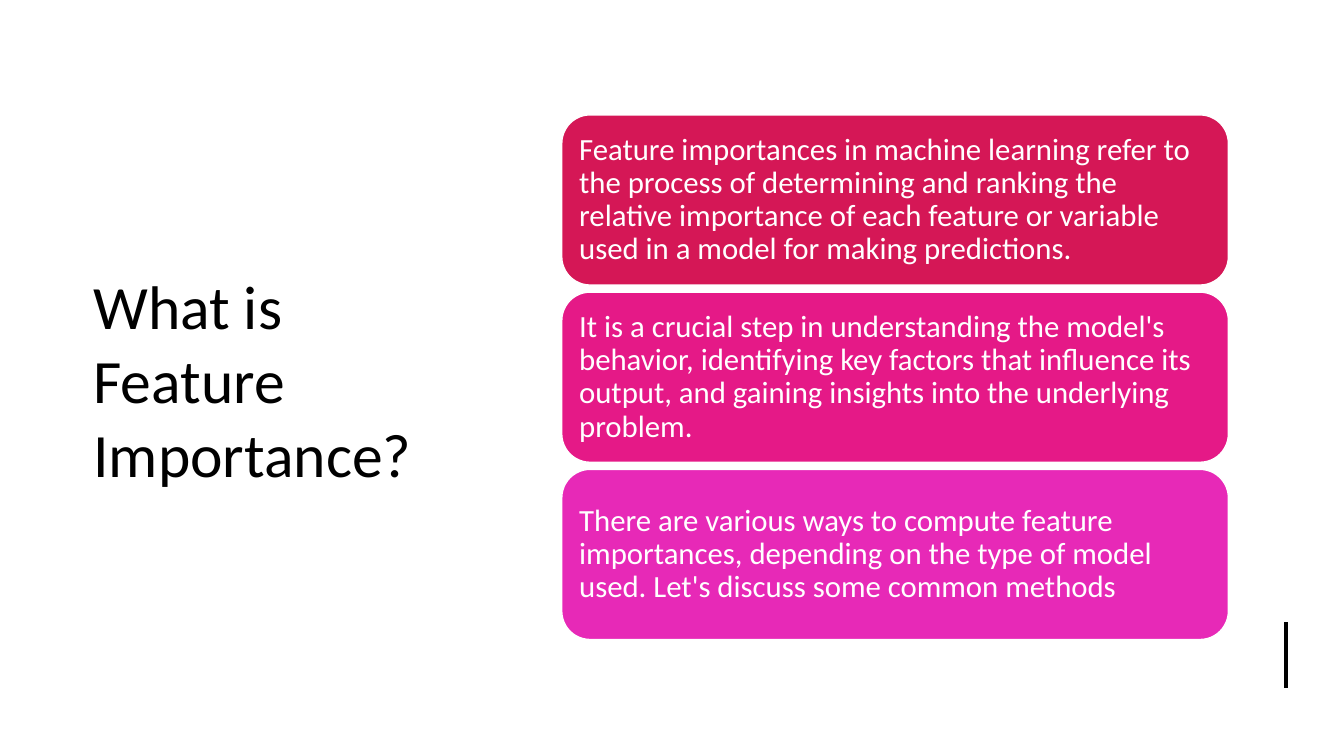
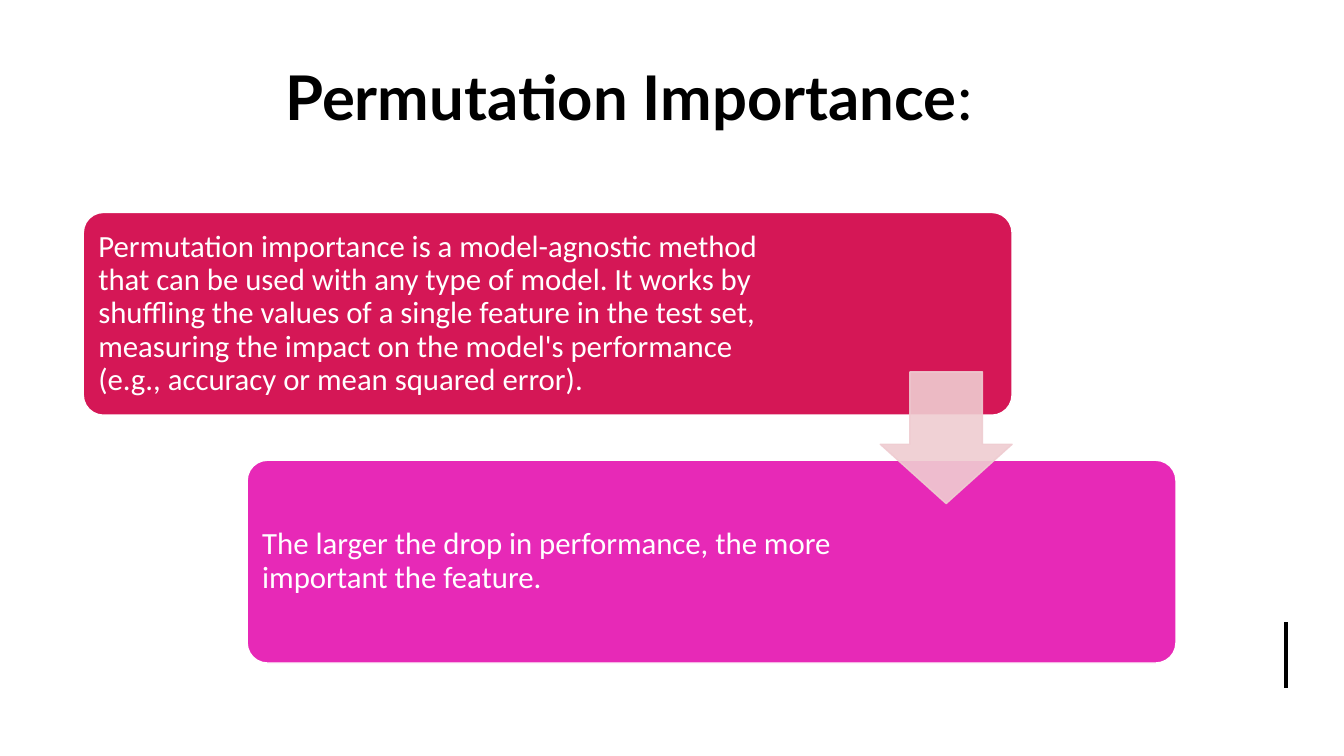
from collections import namedtuple

from lxml.etree import SubElement
from pptx import Presentation
from pptx.dml.color import RGBColor as RGB
from pptx.enum.shapes import MSO_CONNECTOR as LINK, MSO_SHAPE as SHAPE
from pptx.enum.text import MSO_ANCHOR as ANCHOR, MSO_AUTO_SIZE as FIT, PP_ALIGN as ALIGN
from pptx.oxml.ns import qn
from pptx.util import Inches, Pt

WIDE, HIGH = 13.33, 7.5
INK = {"text": "000000", "page": "FFFFFF", "red": "D51756",
       "rose": "E51987", "pink": "E729B7", "arrow": "EFCCD1"}
BODY = "Calibri"
PAD = 0.09
Box = namedtuple("Box", "x y w h")


def share(x, y, w, h):
    return Box(x * WIDE, y * HIGH, w * WIDE, h * HIGH)


def part(box, x, y, w, h):
    return Box(box.x + x * box.w, box.y + y * box.h, w * box.w, h * box.h)


def hue(name):
    return RGB.from_string(INK[name])


def start(deck, box, runs, face, align):
    slide = deck.slides.add_slide(deck.slide_layouts[5])
    title = slide.shapes.title
    title.left, title.top, title.width, title.height = map(Inches, box)
    frame = title.text_frame
    frame.auto_size, frame.word_wrap = FIT.NONE, True
    frame.vertical_anchor = ANCHOR.MIDDLE
    para = frame.paragraphs[0]
    para.alignment = align
    para.font.name, para.font.size = face, Pt(44)
    para.font.color.rgb = hue("text")
    for text, bold in runs:
        run = para.add_run()
        run.text, run.font.bold = text, bold
    mark(slide, share(0.957, 0.823, 0, 0.087))
    return slide


def mark(slide, box):
    line = slide.shapes.add_connector(
        LINK.STRAIGHT, *map(Inches, (box.x, box.y, box.x, box.y + box.h)))
    line.line.color.rgb, line.line.width = hue("text"), Pt(3)
    SubElement(line._element.spPr, qn("a:effectLst"))


def block(slide, kind, box, fill, edge, bends=()):
    shape = slide.shapes.add_shape(kind, *map(Inches, box))
    shape.shadow.inherit = False
    shape.fill.solid()
    shape.fill.fore_color.rgb = hue(fill)
    shape.line.color.rgb, shape.line.width = hue(edge), Pt(1)
    for i, bend in enumerate(bends):
        shape.adjustments[i] = bend
    return shape


def card(slide, box, fill, text, bends=(), spare=0):
    frame = block(slide, SHAPE.ROUNDED_RECTANGLE, box, fill, "page", bends).text_frame
    frame.word_wrap, frame.vertical_anchor = True, ANCHOR.MIDDLE
    frame.margin_left = frame.margin_top = frame.margin_bottom = Inches(PAD)
    frame.margin_right = Inches(PAD + spare)
    para = frame.paragraphs[0]
    para.text, para.alignment, para.line_spacing = text, ALIGN.LEFT, 0.9
    para.font.name, para.font.size = BODY, Pt(22)
    para.font.color.rgb = hue("page")


def stack(slide, box, items, gap=0.07):
    tall = (box.h - gap * (len(items) - 1)) / len(items)
    for i, (fill, text) in enumerate(items):
        card(slide, Box(box.x, box.y + i * (tall + gap), box.w, tall), fill, text)


def stairs(slide, box, items):
    wide, tall = 0.85, 0.45
    for i, (fill, text, spare) in enumerate(items):
        step = part(box, i * (1 - wide), i * (1 - tall), wide, tall)
        card(slide, step, fill, text, [0.1], spare)
    side = 0.65 * tall * box.h
    spot = Box(box.x + wide * box.w - side, box.y + (box.h - side) / 2, side, side)
    arrow = block(slide, SHAPE.DOWN_ARROW, spot, "arrow", "arrow", [0.55, 0.45])
    for tint in arrow._element.spPr.iter(qn("a:srgbClr")):
        SubElement(tint, qn("a:alpha"), val="90000")


def intro(deck):
    slide = start(deck, share(0.062, 0.125, 0.283, 0.752),
                  [("What is Feature Importance?", False)], BODY, ALIGN.LEFT)
    stack(slide, share(0.418, 0.152, 0.496, 0.694), [
        ("red", "Feature importances in machine learning refer to the process of "
                "determining and ranking the relative importance of each feature or "
                "variable used in a model for making predictions."),
        ("rose", "It is a crucial step in understanding the model's behavior, "
                 "identifying key factors that influence its output, and gaining "
                 "insights into the underlying problem."),
        ("pink", "There are various ways to compute feature importances, depending "
                 "on the type of model used. Let's discuss some common methods"),
    ])


def method(deck):
    slide = start(deck, share(0.062, 0.043, 0.812, 0.169),
                  [("Permutation Importance", True), (":", False)], "Lato", ALIGN.CENTER)
    stairs(slide, share(0.062, 0.281, 0.813, 0.596), [
        ("red", "Permutation importance is a model-agnostic method that can be used "
                "with any type of model. It works by shuffling the values of a single "
                "feature in the test set, measuring the impact on the model's "
                "performance (e.g., accuracy or mean squared error).", 1.96),
        ("pink", "The larger the drop in performance, the more important the feature.",
         2.93),
    ])


def main():
    deck = Presentation()
    deck.slide_width, deck.slide_height = Inches(WIDE), Inches(HIGH)
    intro(deck)
    method(deck)
    deck.save("out.pptx")


if __name__ == "__main__":
    main()
